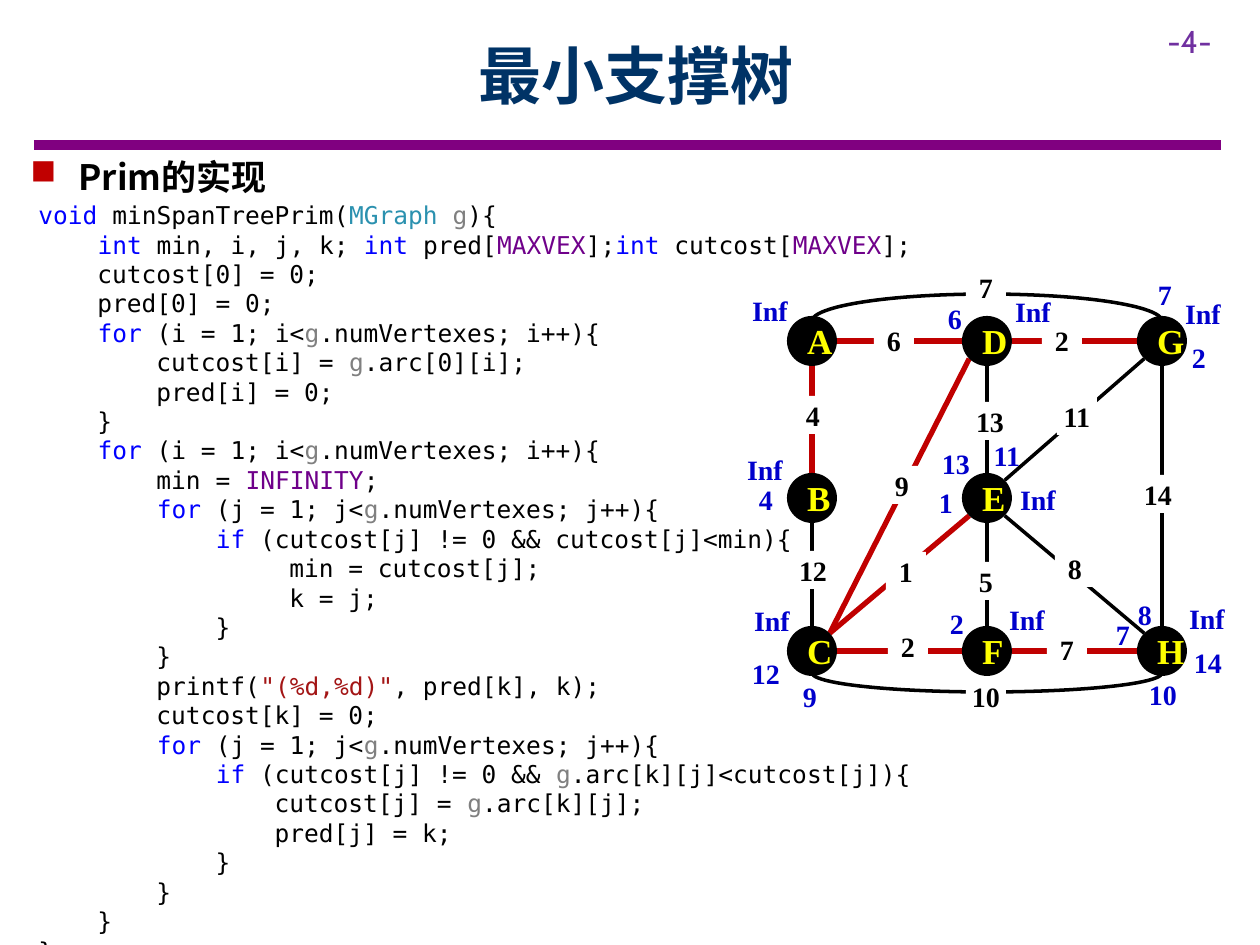
from itertools import groupby
from typing import NamedTuple, Optional

from lxml.etree import SubElement
from pptx import Presentation
from pptx.dml.color import RGBColor
from pptx.enum.shapes import MSO_CONNECTOR as Connector, MSO_SHAPE as Shape
from pptx.enum.text import MSO_ANCHOR as Anchor, PP_ALIGN as Align
from pptx.oxml.ns import qn
from pptx.util import Inches, Pt

SCALE = 914400 // 126  # EMU in one px

BLACK = RGBColor(0x00, 0x00, 0x00)
WHITE = RGBColor(0xFF, 0xFF, 0xFF)
RED = RGBColor(0xC0, 0x00, 0x00)
YELLOW = RGBColor(0xFF, 0xFF, 0x00)
COST_BLUE = RGBColor(0x00, 0x00, 0xCC)
NAVY = RGBColor(0x00, 0x33, 0x66)
PURPLE = RGBColor(0x80, 0x00, 0x80)
PAGE_VIOLET = RGBColor(0x70, 0x30, 0xA0)
KEYWORD_BLUE = RGBColor(0x00, 0x00, 0xFF)
TYPE_TEAL = RGBColor(0x2B, 0x91, 0xAF)
PARAM_GRAY = RGBColor(0x80, 0x80, 0x80)
MACRO_VIOLET = RGBColor(0x6F, 0x00, 0x8A)
STRING_RED = RGBColor(0xA3, 0x15, 0x15)

SERIF, MONO, CJK = "Times New Roman", "DejaVu Sans Mono", "Noto Sans CJK SC"

WORD_COLORS = {
    **dict.fromkeys(("void", "int", "for", "if"), KEYWORD_BLUE),
    **dict.fromkeys(("MAXVEX", "INFINITY"), MACRO_VIOLET),
    "MGraph": TYPE_TEAL,
    "g": PARAM_GRAY,
}

CODE = """\
void minSpanTreePrim(MGraph g){
    int min, i, j, k; int pred[MAXVEX];int cutcost[MAXVEX];
    cutcost[0] = 0;
    pred[0] = 0;
    for (i = 1; i<g.numVertexes; i++){
        cutcost[i] = g.arc[0][i];
        pred[i] = 0;
    }
    for (i = 1; i<g.numVertexes; i++){
        min = INFINITY;
        for (j = 1; j<g.numVertexes; j++){
            if (cutcost[j] != 0 && cutcost[j]<min){
                 min = cutcost[j];
                 k = j;
            }
        }
        printf("(%d,%d)", pred[k], k);
        cutcost[k] = 0;
        for (j = 1; j<g.numVertexes; j++){
            if (cutcost[j] != 0 && g.arc[k][j]<cutcost[j]){
                cutcost[j] = g.arc[k][j];
                pred[j] = k;
            }
        }
    }
}"""


class Box(NamedTuple):
    left: int
    top: int
    width: int
    height: int

    def emu(self) -> list:
        return [side * SCALE for side in self]


class Label(NamedTuple):
    text: str
    left: int
    top: int


class Edge(NamedTuple):
    start: str
    end: str
    color: RGBColor


# Graph layout: node centres on a grid of three columns and three rows
RADIUS = 25
COLUMNS, ROWS = (812, 987, 1162), (341, 498, 651)
GRID = ("ADG", "BE ", "CFH")
CENTERS = {name: (x, y) for y, names in zip(ROWS, GRID)
           for x, name in zip(COLUMNS, names) if name != " "}
EDGES = ([Edge(*pair, BLACK) for pair in ("BC", "DE", "EF", "EH", "EG", "GH")]
         + [Edge(*pair, RED) for pair in ("AB", "AD", "DG", "DC", "EC", "CF", "FH")])

LABEL_WIDTH, LABEL_HEIGHT = 40, 38
WEIGHTS = [
    Label("12", 793, 551), Label("13", 970, 402), Label("11", 1057, 397),
    Label("14", 1138, 475), Label("8", 1055, 549), Label("10", 966, 677),
    Label("7", 966, 268), Label("4", 793, 396), Label("6", 874, 321),
    Label("2", 1042, 321), Label("9", 882, 466), Label("1", 886, 552),
    Label("5", 966, 562), Label("7", 1047, 630), Label("2", 888, 627),
]
COSTS = [
    Label("Inf", 1013, 292), Label("Inf", 1183, 294), Label("Inf", 745, 450),
    Label("Inf", 1018, 480), Label("Inf", 1007, 600), Label("Inf", 1187, 599),
    Label("Inf", 752, 601), Label("Inf", 750, 291), Label("6", 935, 299),
    Label("7", 1145, 275), Label("4", 746, 480), Label("12", 746, 654),
    Label("2", 1179, 338), Label("13", 936, 444), Label("9", 790, 677),
    Label("14", 1188, 643), Label("11", 987, 436), Label("1", 926, 483),
    Label("2", 937, 604), Label("10", 1143, 675), Label("8", 1125, 595),
    Label("7", 1103, 615),
]


def format_run(run, font: str, size: int, color: RGBColor, bold: bool = False) -> None:
    run.font.name, run.font.size, run.font.bold = font, Pt(size), bold
    run.font.color.rgb = color
    SubElement(run.font._element, qn("a:ea"), typeface=font)


def add_text(slide, box: Box, text: str, font: str, size: int, color: RGBColor,
             bold: bool = False):
    frame = slide.shapes.add_textbox(*box.emu()).text_frame
    frame.word_wrap = True
    frame.text = text
    format_run(frame.paragraphs[0].runs[0], font, size, color, bold)
    return frame


def add_line(slide, start: tuple, end: tuple, color: RGBColor, width: int) -> None:
    line = slide.shapes.add_connector(
        Connector.STRAIGHT, *(round(value * SCALE) for value in (*start, *end)))
    line.line.color.rgb, line.line.width = color, Pt(width)
    SubElement(line._element.spPr, qn("a:effectLst"))


def add_badge(slide, kind: Shape, box: Box, text: str, size: int, color: RGBColor,
              fill: Optional[RGBColor], side_inset: int) -> None:
    badge = slide.shapes.add_shape(kind, *box.emu())
    badge.shadow.inherit = False
    badge.line.fill.background()
    if fill is None:
        badge.fill.background()
    else:
        badge.fill.solid()
        badge.fill.fore_color.rgb = fill
    frame = badge.text_frame
    frame.text, frame.word_wrap = text, True
    frame.vertical_anchor = Anchor.MIDDLE
    frame.margin_left = frame.margin_right = side_inset * SCALE
    frame.margin_top = frame.margin_bottom = Inches(0.1)
    frame.paragraphs[0].alignment = Align.CENTER
    format_run(frame.paragraphs[0].runs[0], SERIF, size, color, True)


def add_label(slide, label: Label, color: RGBColor, fill: Optional[RGBColor]) -> None:
    box = Box(label.left, label.top, LABEL_WIDTH, LABEL_HEIGHT)
    add_badge(slide, Shape.RECTANGLE, box, label.text, 16, color, fill, 0)


def add_edge(slide, edge: Edge) -> None:
    """Run from rim to rim, in one of the eight compass directions."""
    (x1, y1), (x2, y2) = CENTERS[edge.start], CENTERS[edge.end]
    step_x, step_y = (x2 > x1) - (x2 < x1), (y2 > y1) - (y2 < y1)
    reach = RADIUS * (0.71 if step_x and step_y else 1)
    dx, dy = step_x * reach, step_y * reach
    add_line(slide, (x1 + dx, y1 + dy), (x2 - dx, y2 - dy), edge.color,
             3 if edge.color == RED else 2)


def add_arc(slide, box: Box, start: int, end: int) -> None:
    arc = slide.shapes.add_shape(Shape.ARC, *box.emu())
    arc.adjustments[0], arc.adjustments[1] = start, end
    arc.shadow.inherit = False
    arc.fill.background()
    arc.line.color.rgb, arc.line.width = BLACK, Pt(2)


def token_colors(line: str):
    """Yield each piece of a code line with its syntax colour."""
    for index, part in enumerate(line.split('"')):
        if index % 2:
            yield f'"{part}"', STRING_RED
            continue
        for _, letters in groupby(part, str.isalnum):
            word = "".join(letters)
            yield word, WORD_COLORS.get(word, BLACK)


def add_code(slide, box: Box) -> None:
    frame = slide.shapes.add_textbox(*box.emu()).text_frame
    frame.word_wrap = True
    for index, line in enumerate(CODE.split("\n")):
        paragraph = frame.add_paragraph() if index else frame.paragraphs[0]
        paragraph.line_spacing = Pt(16.8)
        for color, tokens in groupby(token_colors(line), lambda token: token[1]):
            run = paragraph.add_run()
            run.text = "".join(word for word, _ in tokens)
            format_run(run, MONO, 14, color)


def main() -> None:
    deck = Presentation()
    deck.slide_width, deck.slide_height = Inches(10), Inches(7.5)
    slide = deck.slides.add_slide(deck.slide_layouts[5])

    # Title, rule and page number
    title = slide.shapes.title
    title.left, title.top, title.width, title.height = Box(113, 11, 1047, 126).emu()
    title.text_frame.text = "最小支撑树"
    title.text_frame.vertical_anchor = Anchor.MIDDLE
    title.text_frame.paragraphs[0].alignment = Align.CENTER
    format_run(title.text_frame.paragraphs[0].runs[0], CJK, 36, NAVY, True)
    add_line(slide, (34, 145), (1221, 145), PURPLE, 6)
    add_text(slide, Box(1155, 16, 105, 50), "-4-", "Cabin", 18, PAGE_VIOLET)

    # Code and its bulleted heading
    add_code(slide, Box(26, 194, 1257, 785))
    heading = add_text(slide, Box(18, 149, 472, 55), "Prim的实现", CJK, 20, BLACK, True)
    bullet = heading.paragraphs[0]._p.get_or_add_pPr()
    bullet.set("marL", str(48 * SCALE))
    bullet.set("indent", str(-48 * SCALE))
    SubElement(SubElement(bullet, qn("a:buClr")), qn("a:srgbClr"), val=str(RED))
    SubElement(bullet, qn("a:buChar"), char="■")

    # Graph: edges, then weights, nodes and cut costs (108 is half a turn)
    for edge in EDGES:
        add_edge(slide, edge)
    add_arc(slide, Box(812, 294, 350, 54), 108, 0)
    add_arc(slide, Box(812, 654, 350, 38), 0, 108)
    for weight in WEIGHTS:
        add_label(slide, weight, BLACK, WHITE)
    for name, (x, y) in CENTERS.items():
        box = Box(x - RADIUS, y - RADIUS, 2 * RADIUS, 2 * RADIUS)
        add_badge(slide, Shape.OVAL, box, name, 20, YELLOW, BLACK, 13)
    for cost in COSTS:
        add_label(slide, cost, COST_BLUE, None)

    deck.save("out.pptx")


if __name__ == "__main__":
    main()
